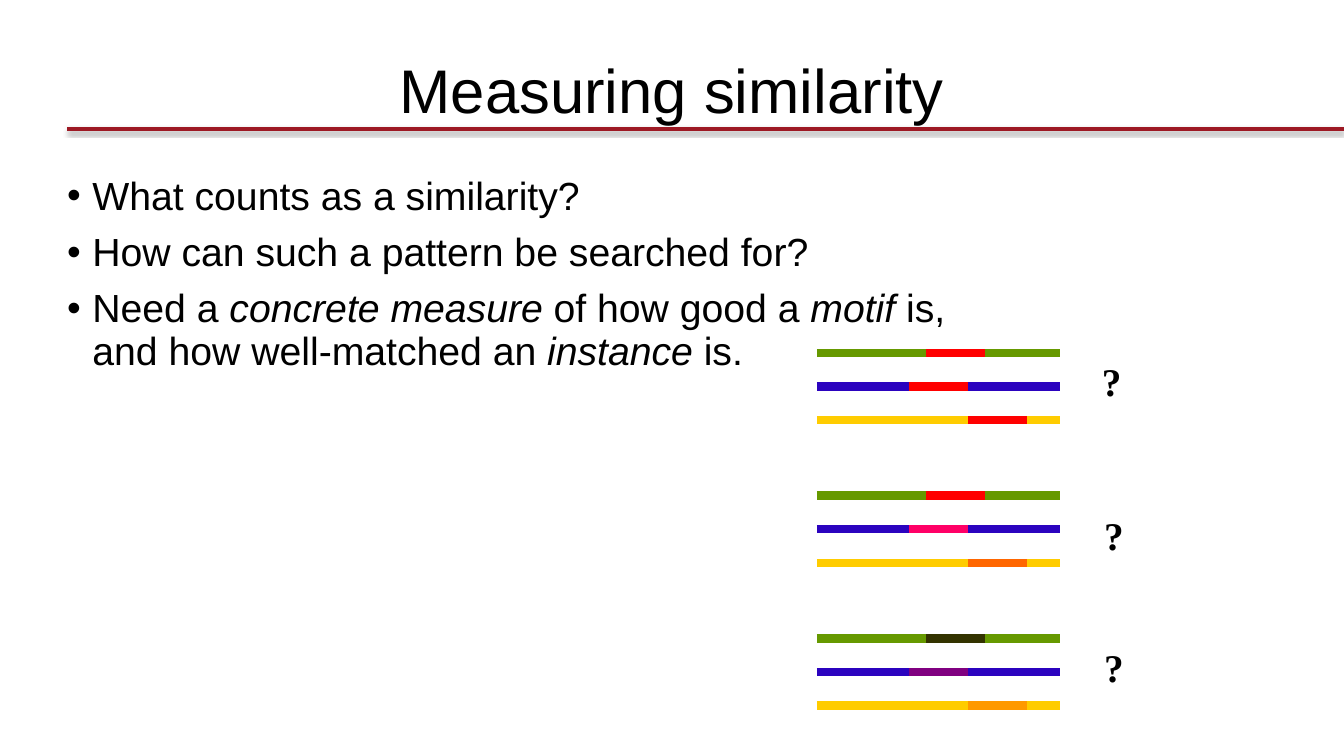
from lxml import etree
from pptx import Presentation
from pptx import util as u
from pptx.dml.color import RGBColor
from pptx.enum import shapes, text
from pptx.oxml import parse_xml
from pptx.oxml.ns import qn

TITLE = "Measuring similarity"
BREAK = "\n"
# Each bullet is a list of (words, italic) runs.
BULLETS = [
    [("What counts as a similarity?", False)],
    [("How can such a pattern be searched for?", False)],
    [("Need a ", False), ("concrete measure ", True), ("of how good a ", False),
     ("motif", True), (" is,", False), (BREAK, False),
     ("and how well-matched an ", False), ("instance", True), (" is.", False)],
]
# Each sequence: colour and left edge of its motif instance.
SEQUENCES = [("669900", 882), ("2B03BF", 866), ("FFCC00", 922)]
# Each group: instance colours, left and top of its question mark.
GROUPS = [
    (["FF0000", "FF0000", "FF0000"], 1040, 336),
    (["FF0000", "FF0066", "FF6600"], 1042, 482),
    (["333300", "800080", "FF9900"], 1042, 608),
]
SEQ_LEFT, SEQ_RIGHT, SEQ_TOP = 778, 1010, 336
SEQ_STEP, GROUP_STEP, MOTIF_WIDTH = 32, 136, 56

A = "http://schemas.openxmlformats.org/drawingml/2006/main"
SHADOW = (f'<a:outerShdw xmlns:a="{A}" blurRad="39400" dist="20300" dir="5400000" '
          'algn="ctr" rotWithShape="0"><a:srgbClr val="000000">'
          '<a:alpha val="38000"/></a:srgbClr></a:outerShdw>')


def px(n):
    return u.Emu(n * 9525)


def rgb(value):
    return RGBColor.from_string(value)


def place(sp, left, top, width, height):
    sp.left, sp.top, sp.width, sp.height = map(px, (left, top, width, height))


def style(r, size, font="Arial", bold=False, italic=False):
    r.font.size, r.font.name = u.Pt(size), font
    r.font.bold, r.font.italic = bold, italic
    r.font.color.rgb = rgb("000000")


def add_line(s, left, right, y, colour, width):
    """Draw a horizontal line and return its effect list."""
    line = s.shapes.add_connector(shapes.MSO_CONNECTOR.STRAIGHT,
                                  px(left), px(y), px(right), px(y))
    line.line.color.rgb = rgb(colour)
    line.line.width = u.Pt(width)
    return etree.SubElement(line._element.spPr, qn("a:effectLst"))


def prepare_frame(tf, anchor):
    tf.margin_left = tf.margin_right = tf.margin_top = tf.margin_bottom = 0
    tf.auto_size = text.MSO_AUTO_SIZE.NONE
    tf.vertical_anchor = anchor
    tf.word_wrap = True


def add_bullet(p, runs):
    p.line_spacing, p.space_before = 0.9, u.Pt(10)
    pPr = p._p.get_or_add_pPr()
    pPr.set("marL", str(px(24)))
    pPr.set("indent", str(-px(24)))
    etree.SubElement(pPr, qn("a:buFont")).set("typeface", "Arial")
    etree.SubElement(pPr, qn("a:buChar")).set("char", "•")
    for words, italic in runs:
        if words == BREAK:
            p.add_line_break()
            continue
        r = p.add_run()
        r.text = words
        style(r, 28, italic=italic)


def add_question_mark(s, left, top):
    tf = s.shapes.add_textbox(px(left), px(top), px(38), px(55)).text_frame
    tf.word_wrap = False
    tf.auto_size = text.MSO_AUTO_SIZE.SHAPE_TO_FIT_TEXT
    tf.text = "?"
    style(tf.paragraphs[0].runs[0], 28, "Times New Roman", bold=True)


def main():
    prs = Presentation()
    prs.slide_width, prs.slide_height = px(1280), px(720)
    s = prs.slides.add_slide(prs.slide_layouts[1])

    add_line(s, 64, 1280, 123, "9D1924", 3).append(parse_xml(SHADOW))

    title, body = s.placeholders
    place(title, 64, 29, 1152, 120)
    prepare_frame(title.text_frame, text.MSO_ANCHOR.MIDDLE)
    title.text_frame.text = TITLE
    p = title.text_frame.paragraphs[0]
    p.alignment, p.line_spacing = text.PP_ALIGN.CENTER, 0.9
    style(p.runs[0], 44)

    place(body, 64, 168, 1152, 418)
    tf = body.text_frame
    prepare_frame(tf, text.MSO_ANCHOR.TOP)
    for i, runs in enumerate(BULLETS):
        add_bullet(tf.add_paragraph() if i else tf.paragraphs[0], runs)

    for g, (colours, mark_left, mark_top) in enumerate(GROUPS):
        for i, ((colour, motif), motif_colour) in enumerate(zip(SEQUENCES, colours)):
            y = SEQ_TOP + g * GROUP_STEP + i * SEQ_STEP
            add_line(s, SEQ_LEFT, SEQ_RIGHT, y, colour, 6)
            add_line(s, motif, motif + MOTIF_WIDTH, y, motif_colour, 6)
        add_question_mark(s, mark_left, mark_top)

    prs.save("out.pptx")


if __name__ == "__main__":
    main()
